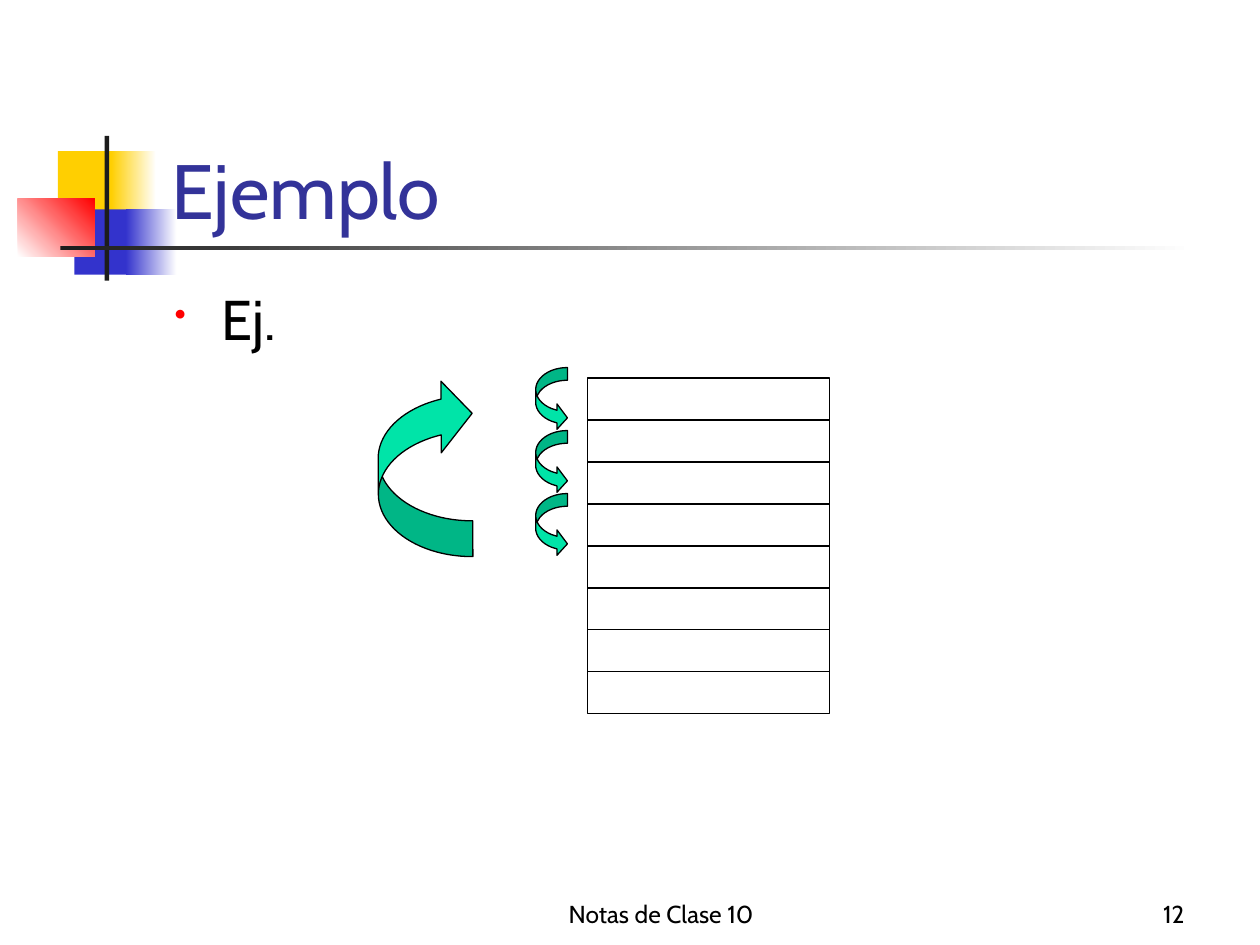
from lxml.etree import SubElement as Sub
from pptx import Presentation
from pptx.dml.color import RGBColor
from pptx.enum.shapes import MSO_CONNECTOR as Link, MSO_SHAPE as Kind
from pptx.enum.text import MSO_ANCHOR as Anchor, PP_ALIGN as Align
from pptx.oxml.ns import qn
from pptx.util import Cm, Pt

FONT = "Cabin"
INK, DARK, WHITE = "000000", "1C1C1C", "FFFFFF"
GOLD, BLUE, RED, GREEN = "FFCF01", "3333CC", "FF0000", "00E4A8"

# left, top, width, height in cm; fill as one colour or (from, to, angle)
BLOCKS = [
    ((1.17, 3.05, 1.22, 1.32), GOLD),
    ((2.24, 3.05, 0.91, 1.32), (GOLD, WHITE, 0)),
    ((1.5, 4.22, 1.17, 1.32), BLUE),
    ((2.54, 4.22, 1.02, 1.32), (BLUE, WHITE, 0)),
    ((0.36, 4.01, 1.55, 1.17), (WHITE, RED, 45)),
    ((2.11, 2.74, 0.09, 2.92), DARK),
    ((1.22, 4.95, 22.86, 0.09), (DARK, WHITE, 0)),
]
TEXTS = [
    ("Notas de Clase 10", (9.31, 17.57, 8.04, 1.27), 14, INK, Align.CENTER, Anchor.BOTTOM),
    ("12", (18.84, 17.57, 5.29, 1.27), 14, INK, Align.RIGHT, Anchor.BOTTOM),
    ("Ejemplo", (3.2, 1.69, 21.64, 3.18), 44, "333399", Align.LEFT, Anchor.BOTTOM),
]
BODY = ("Ej.", (3.27, 5.61, 21.59, 11.43), 32, INK, Align.LEFT, Anchor.TOP)
STACK = (11.85, 7.62, 4.87, 6.77)
ROWS = 8
HOP = (10.8, 7.41, 0.64, 1.27)
HOPS = 3
LOOP = (6.77, 8.47, 3.61, 1.9)


def tint(code):
    return RGBColor.from_string(code)


def place(box):
    return [Cm(n) for n in box]


def paint(fill, look):
    if isinstance(look, str):
        fill.solid()
        fill.fore_color.rgb = tint(look)
        return
    *ends, angle = look
    fill.gradient()
    fill.gradient_angle = angle
    for stop, code in zip(fill.gradient_stops, ends):
        stop.color.rgb = tint(code)


def edge(line):
    line.color.rgb = tint(INK)
    line.width = Pt(0.75)


def draw(kind, box, look, lined=True, bends=(), turn=0):
    shape = slide.shapes.add_shape(kind, *place(box))
    shape.shadow.inherit = False
    shape.rotation = turn
    paint(shape.fill, look)
    if lined:
        edge(shape.line)
    else:
        shape.line.fill.background()
    for i, bend in enumerate(bends):
        shape.adjustments[i] = bend


def write(text, box, size, code, align, anchor, dot=None):
    frame = slide.shapes.add_textbox(*place(box)).text_frame
    frame.word_wrap = True
    frame.vertical_anchor = anchor
    para = frame.paragraphs[0]
    para.text = text
    para.alignment = align
    if dot:
        mark(para, dot)
    font = para.runs[0].font
    for key, value in {"name": FONT, "size": Pt(size)}.items():
        setattr(font, key, value)
    font.color.rgb = tint(code)


def mark(para, code):
    """Give the paragraph a hanging bullet of this colour."""
    props = para._p.get_or_add_pPr()
    props.set("marL", str(Cm(0.95)))
    props.set("indent", str(-Cm(0.95)))
    Sub(Sub(props, qn("a:buClr")), qn("a:srgbClr"), val=code)
    Sub(props, qn("a:buSzPct"), val="60000")
    Sub(props, qn("a:buChar"), char="•")


def rule(x, y, wide):
    line = slide.shapes.add_connector(Link.STRAIGHT, *place((x, y, x + wide, y)))
    edge(line.line)
    Sub(line._element.spPr, qn("a:effectLst"))


deck = Presentation()
deck.slide_width, deck.slide_height = Cm(25.4), Cm(19.05)
slide = deck.slides.add_slide(deck.slide_layouts[6])

for box, look in BLOCKS:
    draw(Kind.RECTANGLE, box, look, lined=False)
for item in TEXTS:
    write(*item)
write(*BODY, dot=RED)

draw(Kind.RECTANGLE, STACK, WHITE)
left, top, wide, high = STACK
for i in range(1, ROWS):
    rule(left, top + i * high / ROWS, wide)

left, top, wide, high = HOP
for i in range(HOPS):
    draw(Kind.CURVED_RIGHT_ARROW, (left, top + i * high, wide, high), GREEN,
         bends=(0.4, 0.8, 0.33))
draw(Kind.CURVED_DOWN_ARROW, LOOP, GREEN, bends=(0.38, 0.76, 0.33), turn=269.7)

deck.save("out.pptx")
